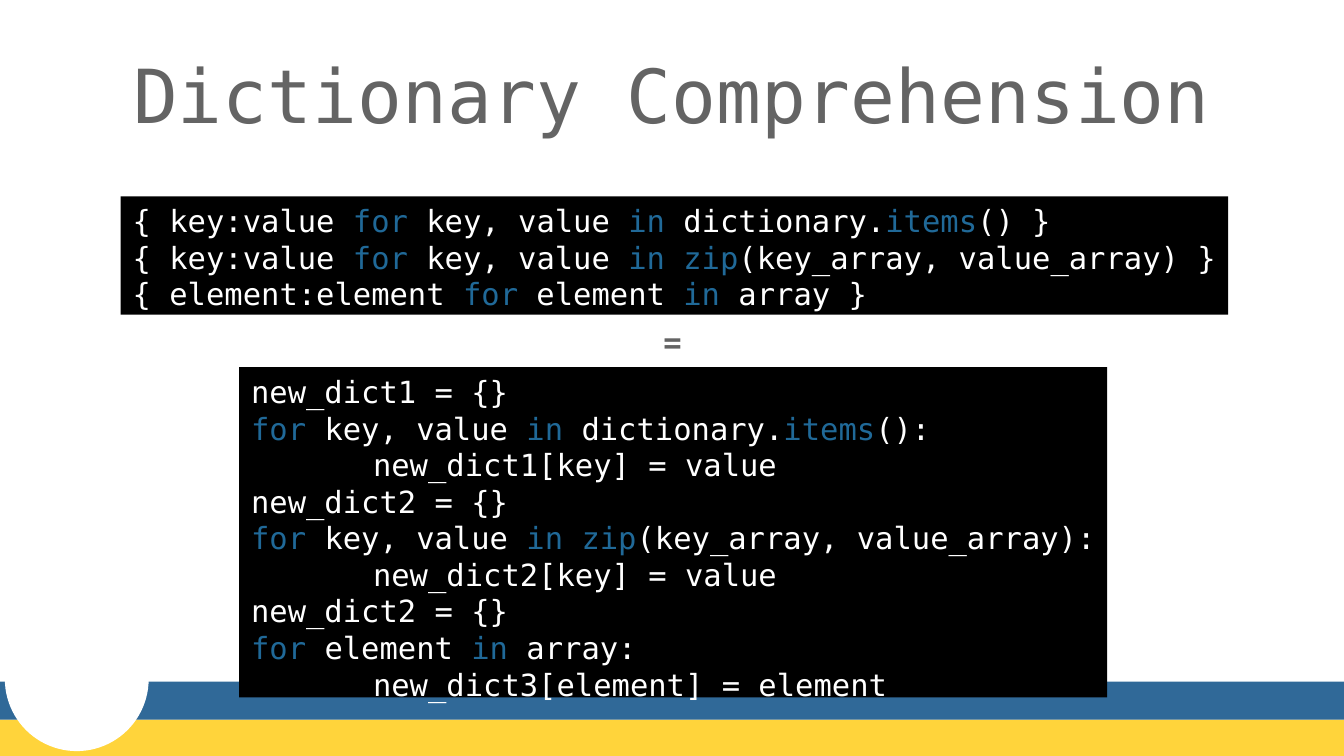
from pptx import Presentation, util as u
from pptx.dml.color import RGBColor
from pptx.enum import shapes, text
from pptx.oxml import parse_xml
from pptx.oxml.ns import nsdecls

WHITE = RGBColor(0xFF, 0xFF, 0xFF)
BLACK = RGBColor(0, 0, 0)
GRAY = RGBColor(0x64, 0x64, 0x64)
GOLD = RGBColor(0xFF, 0xD4, 0x3B)
BLUE = RGBColor(0x30, 0x69, 0x98)
KEY = RGBColor(0x20, 0x69, 0x98)

WIDE, HIGH = u.Inches(11.02), u.Inches(6.2)
COL, ROW = WIDE / 100, HIGH / 100
FACE = "DejaVu Sans Mono"
RECT = shapes.MSO_SHAPE.RECTANGLE
OVAL = shapes.MSO_SHAPE.OVAL
TABS = f'<a:tabLst {nsdecls("a")}><a:tab pos="{u.Inches(1)}" algn="l"/></a:tabLst>'

SHORT = [
    "{ key:value |for| key, value |in| dictionary.|items|() }",
    "{ key:value |for| key, value |in zip|(key_array, value_array) }",
    "{ element:element |for| element |in| array }",
]
LONG = [
    "new_dict1 = {}",
    "|for| key, value |in| dictionary.|items|():",
    "\tnew_dict1[key] = value",
    "new_dict2 = {}",
    "|for| key, value |in zip|(key_array, value_array):",
    "\tnew_dict2[key] = value",
    "new_dict2 = {}",
    "|for| element |in| array:",
    "\tnew_dict3[element] = element",
]


def apply(item, form):
    for name, value in form.items():
        setattr(item, name, value)


def place(col, row, cols, rows):
    return [round(n) for n in (col * COL, row * ROW, cols * COL, rows * ROW)]


def add_block(slide, kind, area, fill):
    shape = slide.shapes.add_shape(kind, *place(*area))
    shape.shadow.inherit = False
    shape.fill.solid()
    shape.fill.fore_color.rgb = fill
    shape.line.fill.background()
    return shape


def add_run(para, words, color, size, bold=False):
    run = para.add_run()
    run.text = words
    apply(run.font, {"name": FACE, "size": u.Pt(size), "bold": bold})
    run.font.color.rgb = color


def add_label(slide, area, words, size, form, bold=False):
    frame = slide.shapes.add_textbox(*place(*area)).text_frame
    apply(frame, form)
    para = frame.paragraphs[0]
    para.alignment = text.PP_ALIGN.CENTER
    add_run(para, words, GRAY, size, bold)


def add_code(slide, area, lines):
    frame = add_block(slide, RECT, area, BLACK).text_frame
    apply(frame, {"word_wrap": False, "vertical_anchor": text.MSO_ANCHOR.TOP})
    for i, line in enumerate(lines):
        para = frame.add_paragraph() if i else frame.paragraphs[0]
        para.alignment = text.PP_ALIGN.LEFT
        if line.startswith("\t"):
            para._p.get_or_add_pPr().append(parse_xml(TABS))
        for j, part in enumerate(line.split("|")):
            if part:
                add_run(para, part, KEY if j % 2 else WHITE, 18)


def main():
    deck = Presentation()
    apply(deck, {"slide_width": WIDE, "slide_height": HIGH})
    slide = deck.slides.add_slide(deck.slide_layouts[6])
    add_block(slide, RECT, (0, 95.2, 100, 4.8), GOLD)
    add_block(slide, RECT, (0, 90.16, 100, 5.04), BLUE)
    add_block(slide, OVAL, (0.36, 80.32, 10.7, 19.03), WHITE)
    flush = dict.fromkeys(
        ("margin_left", "margin_top", "margin_right", "margin_bottom"), 0)
    add_label(slide, (5, 4.03, 90, 16.77), "Dictionary Comprehension", 44,
              {**flush, "word_wrap": True,
               "vertical_anchor": text.MSO_ANCHOR.MIDDLE})
    add_code(slide, (8.98, 25.97, 82.4, 15.65), SHORT)
    add_code(slide, (17.79, 48.55, 64.6, 43.7), LONG)
    add_label(slide, (48.46, 41.94, 3.18, 6.29), "=", 18,
              {"word_wrap": False}, True)
    deck.save("out.pptx")


if __name__ == "__main__":
    main()
